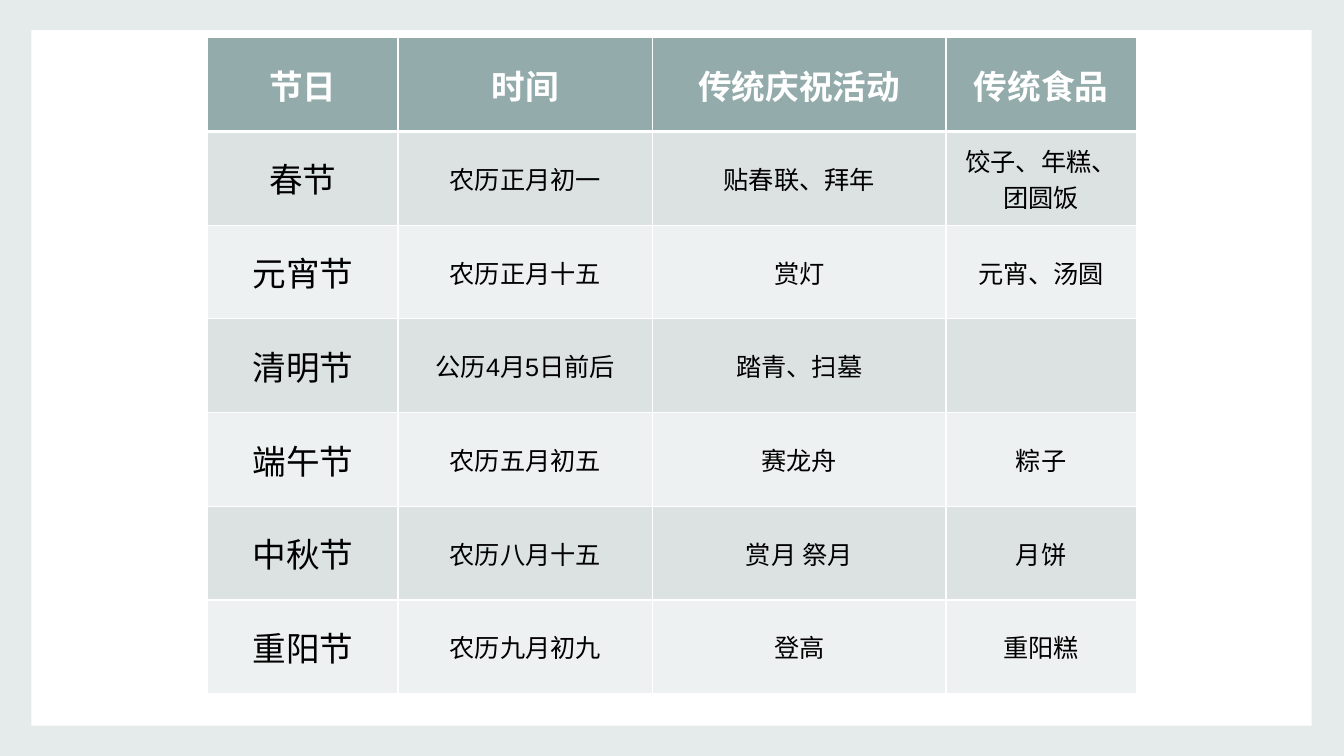
from dataclasses import dataclass

from lxml.etree import SubElement
from pptx import Presentation
from pptx.dml.color import RGBColor
from pptx.enum.shapes import MSO_SHAPE
from pptx.enum.text import MSO_ANCHOR, PP_ALIGN
from pptx.oxml.ns import qn
from pptx.slide import Slide
from pptx.table import _Cell
from pptx.util import Inches, Pt

PAGE_WIDTH, PAGE_HEIGHT = Inches(13.33), Inches(7.5)


@dataclass(frozen=True)
class Theme:
    font: str = "Arial"
    backdrop: str = "E5EBEA"
    paper: str = "FFFFFF"
    header: str = "93ABAA"
    bands: tuple[str, str] = ("DCE2E2", "EEF1F1")
    ink: str = "000000"
    large: int = 24
    small: int = 18
    thin_line: int = 1
    thick_line: int = 3


@dataclass(frozen=True)
class Area:
    """A rectangle, in per cent of the slide's width and height."""
    left: float
    top: float
    width: float
    height: float

    def box(self) -> tuple[int, int, int, int]:
        return (int(PAGE_WIDTH * self.left / 100), int(PAGE_HEIGHT * self.top / 100),
                int(PAGE_WIDTH * self.width / 100), int(PAGE_HEIGHT * self.height / 100))


@dataclass(frozen=True)
class Column:
    heading: str
    share: float  # per cent of the table's width


@dataclass(frozen=True)
class Festival:
    name: str
    date: str
    customs: str
    food: str = ""

    def texts(self) -> list[str]:
        return [self.name, self.date, self.customs, self.food]


THEME = Theme()
PAPER_AREA = Area(2.33, 4, 95.27, 92)
TABLE_AREA = Area(15.45, 4.98, 69.1, 86.8)
COLUMNS = [
    Column("节日", 20.5),
    Column("时间", 27.4),
    Column("传统庆祝活动", 31.6),
    Column("传统食品", 20.5),
]
FESTIVALS = [
    Festival("春节", "农历正月初一", "贴春联、拜年", "饺子、年糕、团圆饭"),
    Festival("元宵节", "农历正月十五", "赏灯", "元宵、汤圆"),
    Festival("清明节", "公历4月5日前后", "踏青、扫墓"),
    Festival("端午节", "农历五月初五", "赛龙舟", "粽子"),
    Festival("中秋节", "农历八月十五", "赏月 祭月", "月饼"),
    Festival("重阳节", "农历九月初九", "登高", "重阳糕"),
]


def color(value: str) -> RGBColor:
    return RGBColor.from_string(value)


def add_borders(cell: _Cell, top: int, bottom: int) -> None:
    properties = cell._tc.get_or_add_tcPr()
    widths = {"L": THEME.thin_line, "R": THEME.thin_line, "T": top, "B": bottom}
    for side, width in widths.items():
        line = SubElement(properties, qn(f"a:ln{side}"), w=str(Pt(width)))
        SubElement(SubElement(line, qn("a:solidFill")), qn("a:srgbClr"), val=THEME.paper)


def format_cell(cell: _Cell, text: str, row: int, column: int) -> None:
    is_header = row == 0
    # Borders come before the fill in the cell's properties
    add_borders(cell,
                top=THEME.thick_line if row == 1 else THEME.thin_line,
                bottom=THEME.thick_line if is_header else THEME.thin_line)
    cell.fill.solid()
    cell.fill.fore_color.rgb = color(THEME.header if is_header else THEME.bands[(row - 1) % 2])
    cell.vertical_anchor = MSO_ANCHOR.MIDDLE
    if not text:
        return
    para = cell.text_frame.paragraphs[0]
    para.alignment = PP_ALIGN.CENTER
    span = para.add_run()
    span.text = text
    font_format = {
        "name": THEME.font,
        "size": Pt(THEME.large if is_header or column == 0 else THEME.small),
        "bold": is_header,
    }
    for attribute, value in font_format.items():
        setattr(span.font, attribute, value)
    span.font.color.rgb = color(THEME.paper if is_header else THEME.ink)


def add_paper(page: Slide, area: Area) -> None:
    paper = page.shapes.add_shape(MSO_SHAPE.RECTANGLE, *area.box())
    paper.shadow.inherit = False
    paper.fill.solid()
    paper.fill.fore_color.rgb = color(THEME.paper)
    paper.line.fill.background()


def add_festival_table(page: Slide, area: Area) -> None:
    rows = [[column.heading for column in COLUMNS]]
    rows += [festival.texts() for festival in FESTIVALS]
    left, top, width, height = area.box()
    table = page.shapes.add_table(len(rows), len(COLUMNS), left, top, width, height).table
    table.first_row = True
    table.horz_banding = False
    for table_column, column in zip(table.columns, COLUMNS):
        table_column.width = int(width * column.share / 100)
    for row, texts in enumerate(rows):
        for column, text in enumerate(texts):
            format_cell(table.cell(row, column), text, row, column)


def main() -> None:
    deck = Presentation()
    deck.slide_width, deck.slide_height = PAGE_WIDTH, PAGE_HEIGHT
    page = deck.slides.add_slide(deck.slide_layouts[6])

    # Backdrop and white paper
    page.background.fill.solid()
    page.background.fill.fore_color.rgb = color(THEME.backdrop)
    add_paper(page, PAPER_AREA)

    # Festivals with their dates, customs and food
    add_festival_table(page, TABLE_AREA)

    deck.save("out.pptx")


if __name__ == "__main__":
    main()
